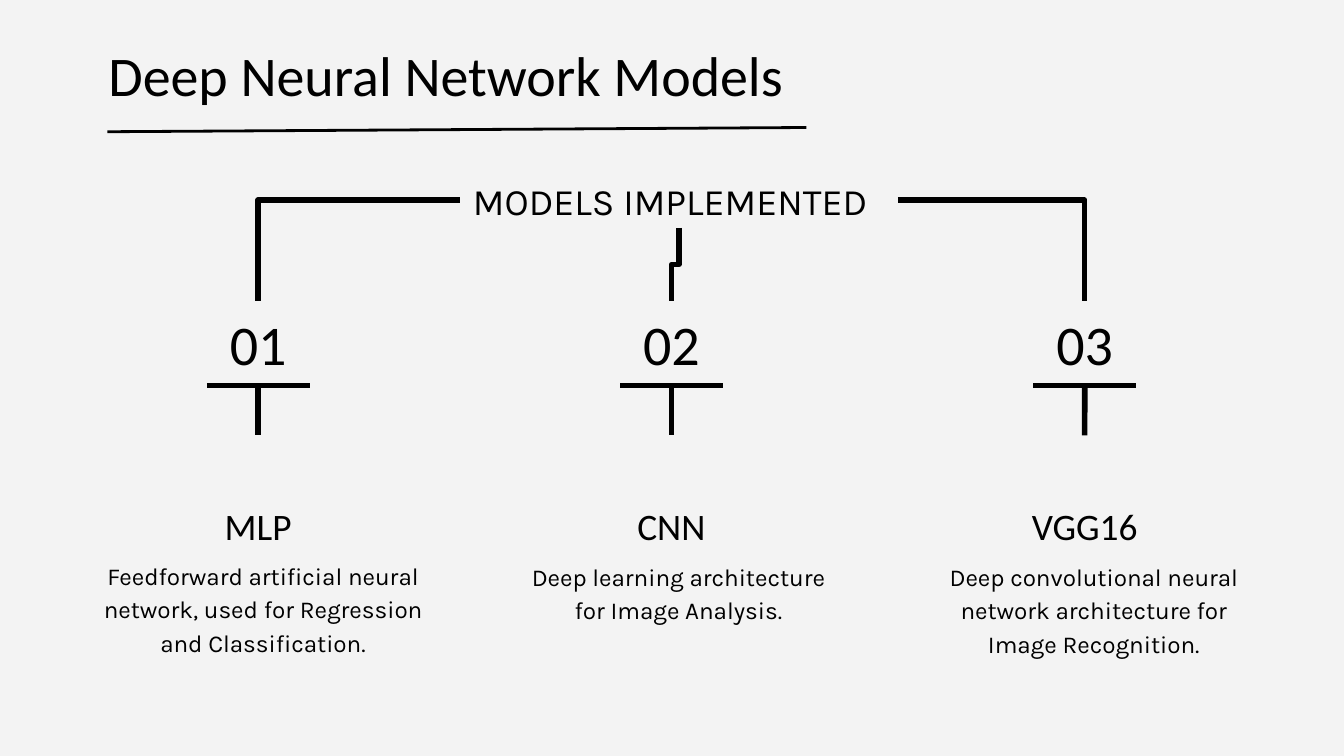
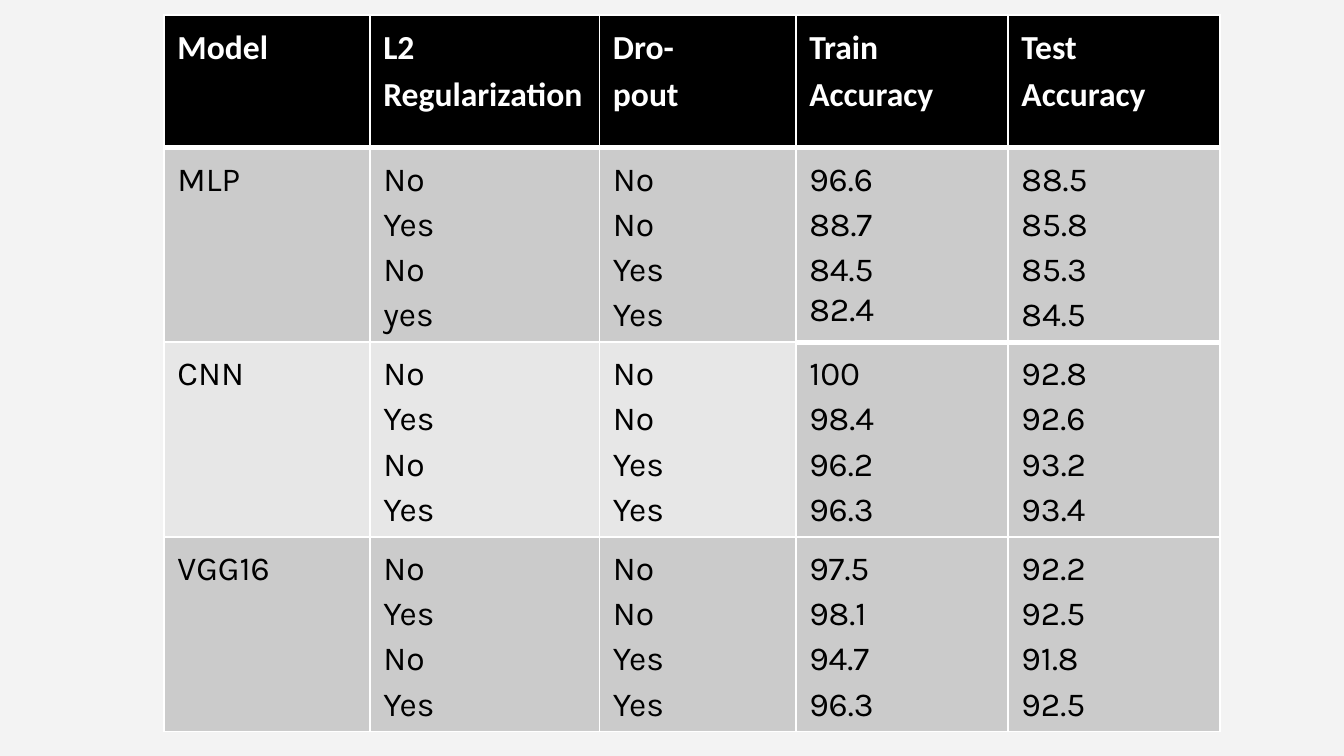
from lxml.etree import SubElement
from pptx import Presentation
from pptx.dml.color import RGBColor
from pptx.enum.shapes import MSO_CONNECTOR
from pptx.enum.text import MSO_ANCHOR, PP_ALIGN
from pptx.oxml import parse_xml
from pptx.oxml.ns import nsdecls, qn
from pptx.util import Cm, Pt

COLORS = {
    "background": "F3F3F3",
    "ink": "000000",
    "white": "FFFFFF",
    "band": "CBCBCB",
    "light_band": "E7E7E7",
}
HEADING_FONT = "Calibri"
BODY_FONT = "Karla"


def put_text(slide, box, text, size, font, inset=0, anchor=MSO_ANCHOR.TOP,
             align=PP_ALIGN.LEFT, spacing=None):
    textbox = slide.shapes.add_textbox(*[Cm(length) for length in box])
    frame_format = {
        "word_wrap": True,
        "vertical_anchor": anchor,
        "margin_left": Cm(0.25),
        "margin_right": Cm(0.25),
        "margin_top": Cm(inset),
        "margin_bottom": Cm(inset),
    }
    for attribute, value in frame_format.items():
        setattr(textbox.text_frame, attribute, value)
    paragraph = textbox.text_frame.paragraphs[0]
    paragraph.text = text
    paragraph.alignment = align
    paragraph.line_spacing = spacing
    for attribute, value in {"name": font, "size": Pt(size)}.items():
        setattr(paragraph.font, attribute, value)
    paragraph.font.color.rgb = RGBColor.from_string(COLORS["ink"])
    return textbox


def draw_line(slide, ends, width=3, kind=MSO_CONNECTOR.STRAIGHT):
    connector = slide.shapes.add_connector(kind, *[Cm(length) for length in ends])
    connector.line.width = Pt(width)
    connector.line.color.rgb = RGBColor.from_string(COLORS["ink"])
    SubElement(connector._element.spPr, qn("a:effectLst"))
    return connector


prs = Presentation()
prs.slide_width = Cm(25.4)
prs.slide_height = Cm(14.29)
slides = [prs.slides.add_slide(prs.slide_layouts[6]) for _ in range(2)]
for slide in slides:
    slide.background.fill.solid()
    slide.background.fill.fore_color.rgb = RGBColor.from_string(COLORS["background"])
models_slide, results_slide = slides

put_text(models_slide, (1.8, 0.51, 21.44, 1.6), "Deep Neural Network Models",
         30, HEADING_FONT, inset=0.25)
draw_line(models_slide, (2.03, 2.49, 15.24, 2.41), width=1.5)
implemented = put_text(models_slide, (8.69, 3.25, 8.28, 1.07), "MODELS IMPLEMENTED",
                       20, BODY_FONT, anchor=MSO_ANCHOR.MIDDLE)

models = [
    ("MLP", "Feedforward artificial neural network, used for Regression and Classification.", 10.52),
    ("CNN", "Deep learning architecture for Image Analysis.", 10.54),
    ("VGG16", "Deep convolutional neural network architecture for Image Recognition.", 10.54),
]
numbers = []
for index, (model, description, description_top) in enumerate(models):
    center = 4.88 + 7.81 * index
    number = put_text(models_slide, (center - 1.33, 5.69, 2.66, 1.6), f"{index + 1:02}",
                      30, HEADING_FONT, inset=0.25, anchor=MSO_ANCHOR.MIDDLE,
                      align=PP_ALIGN.CENTER)
    numbers.append(number)
    draw_line(models_slide, (center - 0.97, 7.29, center + 0.97, 7.29))
    put_text(models_slide, (1.63 + 7.85 * index, description_top, 6.68, 1.24), description,
             13, BODY_FONT, align=PP_ALIGN.CENTER, spacing=1.15)
    label = put_text(models_slide, (center - 2.92, 8.23, 5.84, 2.13), model,
                     20, HEADING_FONT, anchor=MSO_ANCHOR.BOTTOM, align=PP_ALIGN.CENTER)
    stem = draw_line(models_slide, (center, 7.29, center, 8.23))
    stem.begin_connect(number, 2)
    stem.end_connect(label, 0)

for number, side, ends in [
    (numbers[0], 1, (8.69, 3.79, 4.88, 5.69)),
    (numbers[2], 3, (16.97, 3.79, 20.5, 5.69)),
]:
    branch = draw_line(models_slide, ends, kind=MSO_CONNECTOR.ELBOW)
    branch._element.spPr.find(qn("a:prstGeom")).set("prst", "bentConnector2")
    branch.begin_connect(implemented, side)
    branch.end_connect(number, 0)

middle_branch = draw_line(models_slide, (12.83, 4.32, 12.69, 5.69), kind=MSO_CONNECTOR.ELBOW)
middle_branch.begin_connect(implemented, 2)
middle_branch.end_connect(numbers[1], 0)
turned = middle_branch._element.spPr.find(qn("a:xfrm"))
turned.attrib.pop("flipH", None)
turned.set("rot", "5400000")
middle_frame = {"left": 12.07, "top": 4.93, "width": 1.38, "height": 0.14}
for attribute, value in middle_frame.items():
    setattr(middle_branch, attribute, Cm(value))

results = [
    ["Model", "L2 Regularization", "Dro-\npout", "Train Accuracy", "Test Accuracy"],
    ["MLP", "No\nYes\nNo\nyes", "No\nNo\nYes\nYes",
     "96.6\n88.7\n84.5\n82.4", "88.5\n85.8\n85.3\n84.5"],
    ["CNN", "No\nYes\nNo\nYes", "No\nNo\nYes\nYes",
     "100\n98.4\n96.2\n96.3", "92.8\n92.6\n93.2\n93.4"],
    ["VGG16", "No\nYes\nNo\nYes", "No\nNo\nYes\nYes",
     "97.5\n98.1\n94.7\n96.3", "92.2\n92.5\n91.8\n92.5"],
]
column_widths = [3.89, 4.34, 3.71, 4.01, 4.01]
row_heights = [2.51, 3.66, 3.66, 3.66]
accuracy = results_slide.shapes.add_table(
    len(results), len(column_widths), Cm(3.1), Cm(0.28),
    Cm(sum(column_widths)), Cm(sum(row_heights))).table
accuracy.horz_banding = False
for column, width in zip(accuracy.columns, column_widths):
    column.width = Cm(width)
for row, height in zip(accuracy.rows, row_heights):
    row.height = Cm(height)

for r, values in enumerate(results):
    for c, value in enumerate(values):
        cell = accuracy.cell(r, c)
        header = r == 0
        fill = "ink" if header else "light_band" if r == 2 and c < 3 else "band"
        cell.fill.solid()
        cell.fill.fore_color.rgb = RGBColor.from_string(COLORS[fill])
        cell.text = value
        font_format = {
            "name": HEADING_FONT if header else BODY_FONT,
            "size": Pt(18),
            "bold": header,
        }
        for paragraph in cell.text_frame.paragraphs:
            paragraph.line_spacing = 1.15
            for attribute, setting in font_format.items():
                setattr(paragraph.font, attribute, setting)
            paragraph.font.color.rgb = RGBColor.from_string(COLORS["white" if header else "ink"])
        thick_top = r == 1 or (r == 2 and c > 2)
        thick_bottom = header or (r == 1 and c > 2)
        borders = {"lnL": 1, "lnR": 1, "lnT": 3 if thick_top else 1, "lnB": 3 if thick_bottom else 1}
        for position, (edge, points) in enumerate(borders.items()):
            cell._tc.get_or_add_tcPr().insert(position, parse_xml(
                f'<a:{edge} {nsdecls("a")} w="{Pt(points)}"><a:solidFill>'
                f'<a:srgbClr val="{COLORS["white"]}"/></a:solidFill></a:{edge}>'))
accuracy.cell(1, 3).text_frame.paragraphs[3].line_spacing = 1.0

prs.save("out.pptx")
